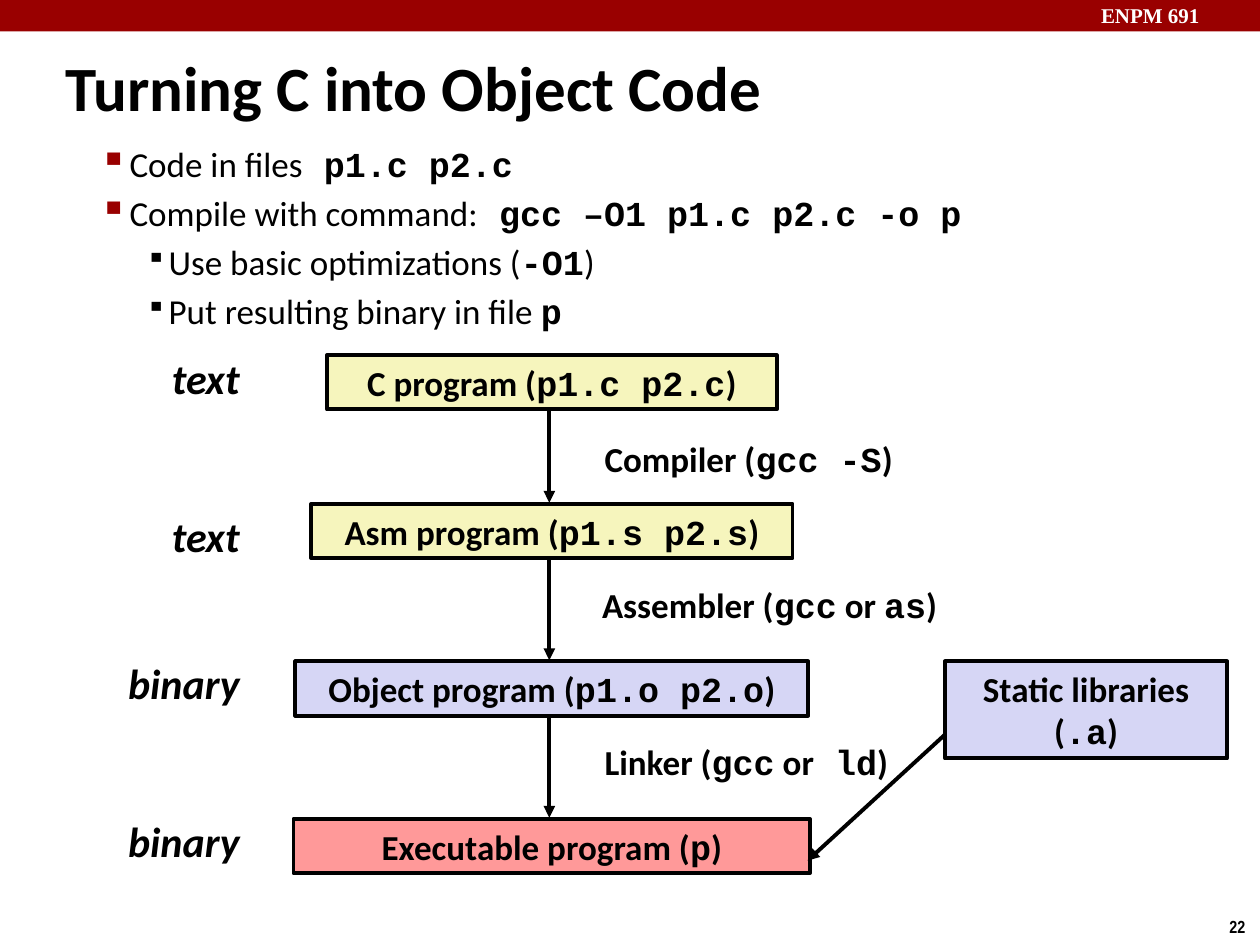
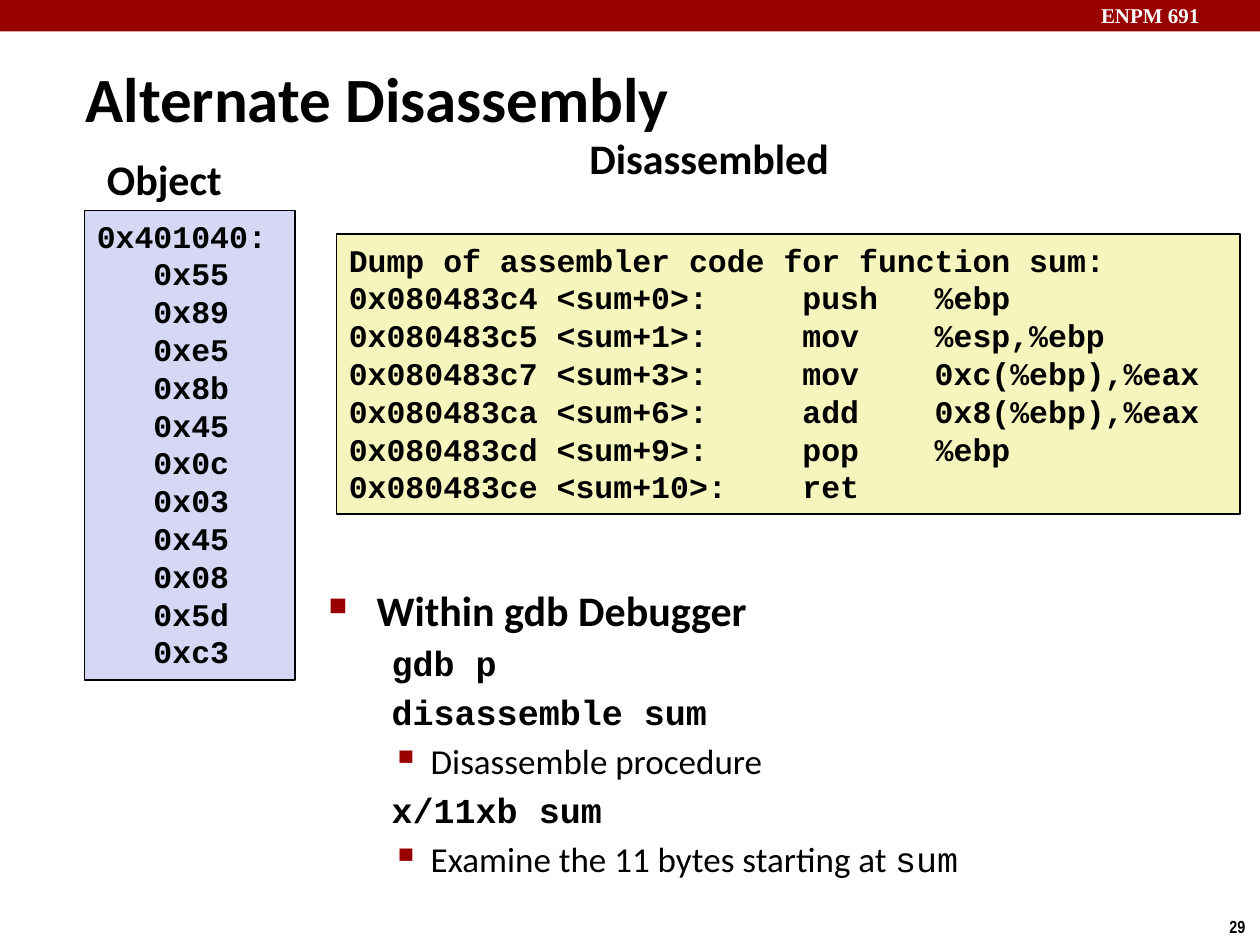
from pptx import Presentation
from pptx.dml.color import RGBColor
from pptx.enum.shapes import MSO_CONNECTOR, MSO_SHAPE
from pptx.enum.text import MSO_ANCHOR, PP_ALIGN
from pptx.oxml.ns import qn
from pptx.util import Inches, Pt
from lxml.etree import SubElement

RED, BLACK, WHITE = "990000", "000000", "FFFFFF"
YELLOW, BLUE, PINK = "F6F5BD", "D6D6F5", "FF9999"
SANS, MONO = "Calibri", "Courier New"
COLS, ROWS = 100, 75

MAIN = dict(indent=0.61, hang=0.24, mark=("▪", 110, RED))
SUB = dict(indent=0.92, hang=0.18, mark=("▪", 80, BLACK))
HEAD = dict(size=24, bold=True, indent=0.38, hang=0.38, mark=("■", 60, RED))
CODE = dict(bold=True, indent=0.5)
NOTE = dict(indent=0.81, hang=0.31, mark=("▪", 110, RED))


def tint(code):
    return RGBColor.from_string(code)


def write(frame, text, size=20, face=SANS, color=BLACK, bold=False, thick=None,
          slant=False, align=PP_ALIGN.LEFT, indent=0, hang=0, mark=None, gap=0):
    for line in text.split("\n"):
        first = frame.paragraphs[0]
        fresh = len(frame.paragraphs) == 1 and not first.runs
        para = first if fresh else frame.add_paragraph()
        para.alignment = align
        props = para._p.get_or_add_pPr()
        props.set("marL", str(Inches(indent)))
        props.set("indent", str(-Inches(hang)))
        if gap and not fresh:
            space = SubElement(props, qn("a:spcBef"))
            SubElement(space, qn("a:spcPct"), val=str(gap * 1000))
        if mark:
            sign, scale, shade = mark
            paint = SubElement(props, qn("a:buClr"))
            SubElement(paint, qn("a:srgbClr"), val=shade)
            SubElement(props, qn("a:buSzPct"), val=str(scale * 1000))
            SubElement(props, qn("a:buChar"), char=sign)
        else:
            SubElement(props, qn("a:buNone"))
        for spot, part in enumerate(line.split("`")):
            if not part:
                continue
            code = spot % 2 == 1
            run = para.add_run()
            run.text = part
            font = run.font
            font.name = MONO if code else face
            font.size = Pt(size)
            font.bold = thick if code and thick is not None else bold
            font.italic = slant
            font.color.rgb = tint(color)


class Deck:
    def __init__(self):
        self.show = Presentation()
        self.show.slide_width, self.show.slide_height = Inches(10), Inches(7.5)
        self.slide = None

    def place(self, col, row):
        return (round(col * self.show.slide_width / COLS),
                round(row * self.show.slide_height / ROWS))

    def label(self, col, row, wide, high, text, wrap=True,
              anchor=MSO_ANCHOR.TOP, **style):
        box = self.slide.shapes.add_textbox(
            *self.place(col, row), *self.place(wide, high))
        box.text_frame.word_wrap = wrap
        box.text_frame.vertical_anchor = anchor
        write(box.text_frame, text, **style)

    def block(self, col, row, wide, high, fill, text="", edge=0, **style):
        box = self.slide.shapes.add_shape(
            MSO_SHAPE.RECTANGLE, *self.place(col, row), *self.place(wide, high))
        box.shadow.inherit = False
        box.fill.solid()
        box.fill.fore_color.rgb = tint(fill)
        if edge:
            box.line.color.rgb = tint(BLACK)
            box.line.width = Pt(edge)
        else:
            box.line.fill.background()
        if text:
            box.text_frame.word_wrap = True
            box.text_frame.vertical_anchor = MSO_ANCHOR.TOP
            write(box.text_frame, text, **style)

    def arrow(self, start, end):
        line = self.slide.shapes.add_connector(
            MSO_CONNECTOR.STRAIGHT, *self.place(*start), *self.place(*end))
        line.line.color.rgb = tint(BLACK)
        line.line.width = Pt(2.25)
        props = line._element.spPr
        SubElement(props.find(qn("a:ln")), qn("a:tailEnd"), type="triangle")
        SubElement(props, qn("a:effectLst"))

    def bullets(self, col, row, wide, high, items):
        box = self.slide.shapes.add_textbox(
            *self.place(col, row), *self.place(wide, high))
        box.text_frame.word_wrap = True
        for text, style in items:
            write(box.text_frame, text, gap=20, **style)

    def page(self, title, col, row, number):
        self.slide = self.show.slides.add_slide(self.show.slide_layouts[6])
        self.block(0, 0, COLS, 2.5, RED)
        self.label(86.4, -0.3, 13.6, 3, "ENPM 691", size=12,
                   face="Times New Roman", color=WHITE, bold=True)
        self.label(96.6, 72.2, 3.4, 2.7, number, wrap=False, size=10,
                   face="Arial Narrow", bold=True)
        self.label(col, row, 76.5, 6.3, title, anchor=MSO_ANCHOR.MIDDLE,
                   size=36, bold=True)


def build_flow(deck):
    deck.page("Turning C into Object Code", 4.2, 3.7, "22")
    deck.bullets(3.2, 10.8, 90.9, 16, [
        ("Code in files` p1.c p2.c`", dict(MAIN, thick=True)),
        ("Compile with command:` gcc –O1 p1.c p2.c -o p`", dict(MAIN, thick=True)),
        ("Use basic optimizations (`-O1`)", dict(SUB, thick=True)),
        ("Put resulting binary in file `p`", dict(SUB, thick=True)),
    ])
    mid, axis, high = 43.8, 43.6, 4.3
    stages = [
        (28.2, 35.7, YELLOW, "C program (`p1.c p2.c`)", "text", 27.5),
        (40, 38.2, YELLOW, "Asm program (`p1.s p2.s`)", "text", 40),
        (52.5, 40.7, BLUE, "Object program (`p1.o p2.o`)", "binary", 51.7),
        (65, 41, PINK, "Executable program (`p`)", "binary", 64.2),
    ]
    frame = dict(edge=2.25, bold=True, align=PP_ALIGN.CENTER)
    for row, wide, fill, text, kind, side in stages:
        deck.block(mid - wide / 2, row, wide, high, fill, text, **frame)
        deck.label(8, side, 12, 5, kind, size=24, bold=True, slant=True,
                   align=PP_ALIGN.RIGHT)
    for above, below in zip(stages, stages[1:]):
        deck.arrow((axis, above[0] + high), (axis, below[0] - 0.1))
    for col, row, tool in [(47, 34.2, "Compiler (`gcc -S`)"),
                           (46.8, 45.8, "Assembler (`gcc` or `as`)"),
                           (47, 58.3, "Linker (`gcc` or` ld`)")]:
        deck.label(col, row, 33.3, high, tool, bold=True)
    deck.block(75, 52.5, 22.4, 7.7, BLUE, "Static libraries (`.a`)", **frame)
    deck.arrow((75, 58.3), (64.1, 68.3))


def build_dump(deck):
    deck.page("Alternate Disassembly", 5.8, 4.6, "29")
    deck.label(45.8, 10, 28.5, 4.5, "Disassembled", size=24, bold=True)
    deck.label(7.5, 11.7, 14.3, 4.5, "Object", size=24, bold=True)
    code = dict(edge=1, size=18, face=MONO, bold=True)
    deck.block(26.7, 18.6, 71.7, 22.2, YELLOW, """\
Dump of assembler code for function sum:
0x080483c4 <sum+0>:     push   %ebp
0x080483c5 <sum+1>:     mov    %esp,%ebp
0x080483c7 <sum+3>:     mov    0xc(%ebp),%eax
0x080483ca <sum+6>:     add    0x8(%ebp),%eax
0x080483cd <sum+9>:     pop    %ebp
0x080483ce <sum+10>:    ret""", **code)
    deck.block(6.7, 16.7, 16.7, 37.3, BLUE, """\
0x401040:
   0x55
   0x89
   0xe5
   0x8b
   0x45
   0x0c
   0x03
   0x45
   0x08
   0x5d
   0xc3""", **code)
    deck.bullets(25.1, 45.9, 68.9, 24.6, [
        ("Within gdb Debugger", HEAD),
        ("`gdb p`", CODE),
        ("`disassemble sum`", CODE),
        ("Disassemble procedure", NOTE),
        ("`x/11xb sum`", CODE),
        ("Examine the 11 bytes starting at `sum`", NOTE),
    ])


def main():
    deck = Deck()
    build_flow(deck)
    build_dump(deck)
    deck.show.save("out.pptx")


if __name__ == "__main__":
    main()
